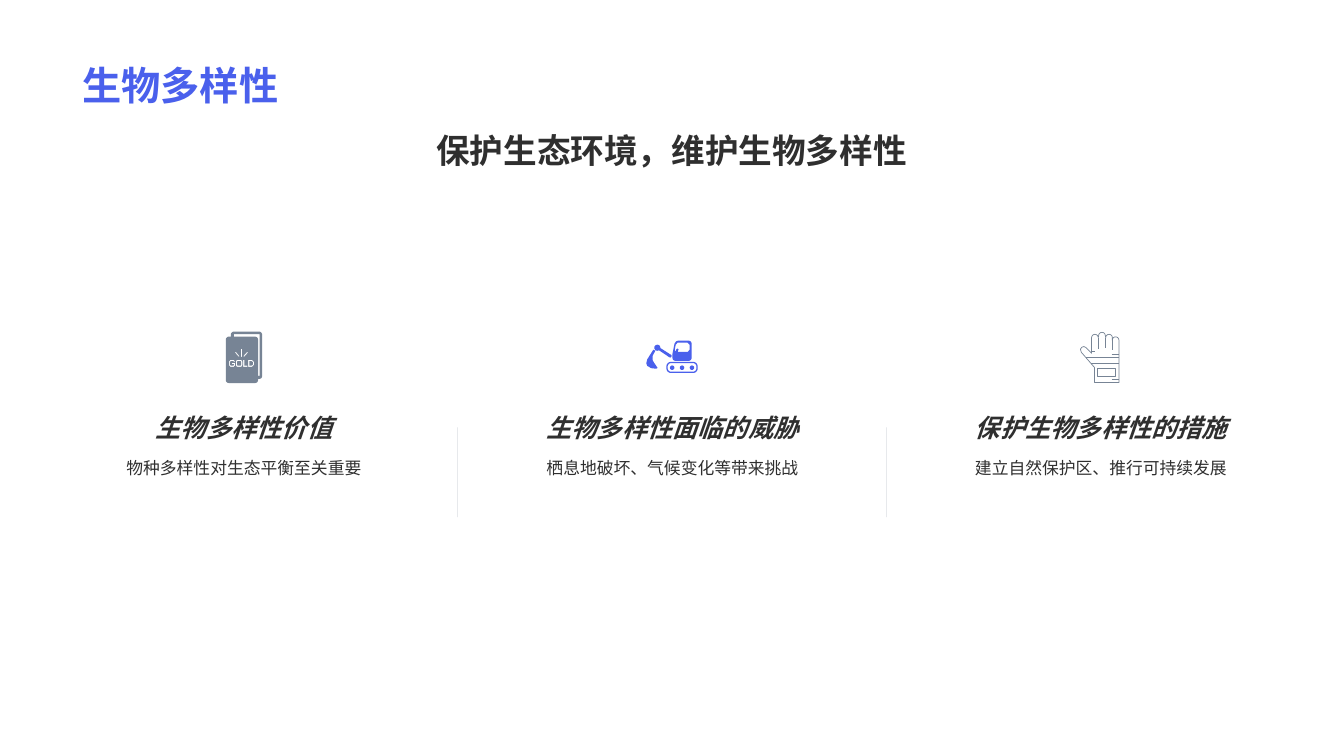
from math import cos, pi, sin

from lxml import etree
from pptx import Presentation
from pptx.dml.color import RGBColor
from pptx.enum.shapes import MSO_CONNECTOR
from pptx.enum.text import MSO_ANCHOR, PP_ALIGN
from pptx.oxml.ns import qn
from pptx.util import Inches, Pt

BLUE = RGBColor(0x4A, 0x60, 0xEC)
GREY = RGBColor(0x77, 0x84, 0x95)
INK = RGBColor(0x2F, 0x2F, 0x2F)
LEFT, CENTER = PP_ALIGN.LEFT, PP_ALIGN.CENTER
TOP, BOTTOM = MSO_ANCHOR.TOP, MSO_ANCHOR.BOTTOM
STRAIGHT = MSO_CONNECTOR.STRAIGHT

TITLE = {"size": Pt(28), "bold": True}
SUBTITLE = {"size": Pt(24), "bold": True}
HEADING = {"size": Pt(18), "bold": True, "italic": True}
DETAIL = {"size": Pt(12)}

COLUMN_LEFT, COLUMN_STEP, COLUMN_WIDTH = 0.86, 4.25, 3.12


# Outline helpers: icon points are in hundredths of an inch
def arc(cx, cy, r, start, end, steps=8):
    angles = [start + (end - start) * i / steps for i in range(steps + 1)]
    return [(cx + r * cos(a), cy + r * sin(a)) for a in angles]


def circle(cx, cy, r):
    return arc(cx, cy, r, 0, 2 * pi, 20)


def rounded(x, y, w, h, r):
    corners = [(x + w - r, y + h - r), (x + r, y + h - r),
               (x + r, y + r), (x + w - r, y + r)]
    return [point for i, (cx, cy) in enumerate(corners)
            for point in arc(cx, cy, r, i * pi / 2, (i + 1) * pi / 2)]


def gold_contours():
    covers = [(0, 8), *arc(3, 8, 3, pi, 1.5 * pi), (5, 5),
              *arc(8, 3, 3, pi, 1.5 * pi), *arc(33, 3, 3, -pi / 2, 0),
              *arc(33, 44, 3, 0, pi / 2), (32, 47),
              *arc(29, 48, 3, 0, pi / 2), *arc(3, 48, 3, pi / 2, pi)]
    gap = [(8, 2.5), (33.5, 2.5), (33.5, 44), (32, 44),
           *arc(29, 8, 3, 0, -pi / 2), (8, 5)]
    letter_g = [(9.3, 30), (8, 30), (7.5, 29.2), (5, 29.2), (4.4, 30),
                (4.4, 33), (5, 33.8), (7.5, 33.8), (8, 33), (8, 32.2),
                (6, 32.2), (6, 31), (9.3, 31), (9.3, 33.5), (8, 35),
                (4.5, 35), (3.2, 33.5), (3.2, 29.5), (4.5, 28), (8, 28)]
    letter_o = [rounded(10, 28, 6.4, 7, 2), rounded(11.2, 29.2, 4, 4.6, 1)]
    letter_l = [(17.2, 28), (18.4, 28), (18.4, 33.8), (21.3, 33.8),
                (21.3, 35), (17.2, 35)]
    letter_d = [[(22.2, 28), (26, 28), (28, 30), (28, 33), (26, 35), (22.2, 35)],
                [(23.4, 29.2), (25.5, 29.2), (26.8, 30.3), (26.8, 32.7),
                 (25.5, 33.8), (23.4, 33.8)]]
    rays = [[(9, 20.5), (10, 20), (13.5, 24.3), (12.7, 25)],
            [(14.9, 17), (16.1, 17), (16.1, 25), (14.9, 25)],
            [(21.2, 20), (22, 20.8), (18.3, 25), (17.3, 24.3)]]
    return [covers, gap, letter_g, *letter_o, letter_l, *letter_d, *rays]


def excavator_contours():
    wheels = [circle(x, 26.8, 2.2) for x in (25.7, 35.5, 45.3)]
    tracks = [rounded(20, 21, 31, 11, 4.5), rounded(21.2, 22.2, 28.6, 8.6, 3.5)]
    bucket = [(7, 9), (9, 10), (6.3, 15), (6.2, 19), (7.5, 21.5), (11.2, 27),
              (10, 27.8), (5, 27.3), (1, 25), (0, 22.5), (1, 18.5), (3.5, 14.5)]
    arm = [(14.3, 7.5), (25, 14.3), (25.2, 15.5), (24.3, 16.7), (23, 16.5), (13, 9.8)]
    cab = [(26, 13), (28, 3), (29.5, 0.7), (31.5, 0), *arc(42, 3, 3, -pi / 2, 0),
           *arc(42, 17, 3, 0, pi / 2), *arc(29, 17, 3, pi / 2, pi)]
    window = [(28.3, 9), (29.2, 4), (31, 2), (41, 2), (43, 4), (43, 9), (41.3, 11),
              (31.2, 11), (32, 8.5), (31, 7.8), (30, 8.3), (29, 11)]
    return [*wheels, *tracks, bucket, arm, circle(11, 7, 3), cab, window]


def glove_lines():
    tops = ((15, 6), (22, 4), (29, 6), (35.5, 8.5))
    fingers = [point for x, y in tops for point in arc(x, y, 3.3, pi, 2 * pi)]
    hand = [(14.5, 50.5), (14.5, 35.5), (1.5, 20.5), (0.6, 17.5), (2, 15.5),
            (4, 14.8), (6, 15.8), (11.7, 21.5), *fingers, (38.8, 50.5), (14.5, 50.5)]
    creases = [[(x, 6), (x, bottom)]
               for x, bottom in ((18.5, 17), (25.5, 16.5), (32.2, 18))]
    bands = [[(start, y), (38.8, y)]
             for start, y in ((6.5, 25.5), (11.5, 31.5), (31.5, 22.5), (31.5, 47.5))]
    thumb_tick = [(11.7, 19.5), (15, 19.5)]
    pocket = [(17.5, 36.5), (35.5, 36.5), (35.5, 44.5), (17.5, 44.5), (17.5, 36.5)]
    return [hand, *creases, *bands, thumb_tick, pocket]


# Slide elements
def add_text(slide, text, box, fmt, color=INK, align=CENTER, anchor=TOP, spacing=None):
    frame = slide.shapes.add_textbox(*map(Inches, box)).text_frame
    frame.word_wrap = True
    frame.vertical_anchor = anchor
    paragraph = frame.paragraphs[0]
    paragraph.alignment = align
    paragraph.line_spacing = spacing
    run = paragraph.add_run()
    run.text = text
    for key, value in {"name": "Arial", **fmt}.items():
        setattr(run.font, key, value)
    run.font.color.rgb = color


def add_icon(slide, left, top, contours, color, filled=True):
    placed = [[(Inches(left + x / 100), Inches(top + y / 100)) for x, y in contour]
              for contour in contours]
    builder = slide.shapes.build_freeform(*placed[0][0], scale=1.0)
    for i, contour in enumerate(placed):
        if i:
            builder.move_to(*contour[0])
        builder.add_line_segments(contour[1:], close=filled)
    icon = builder.convert_to_shape()
    icon.shadow.inherit = False
    if filled:
        icon.fill.solid()
        icon.fill.fore_color.rgb = color
        icon.line.fill.background()
    else:
        icon.fill.background()
        icon.line.color.rgb = color
        icon.line.width = Pt(0.5)


def add_divider(slide, x):
    divider = slide.shapes.add_connector(
        STRAIGHT, Inches(x), Inches(4.24), Inches(x), Inches(5.13))
    divider.line.color.rgb = GREY
    divider.line.width = Pt(0.25)
    properties = divider._element.spPr
    color = properties.find(".//" + qn("a:srgbClr"))
    etree.SubElement(color, qn("a:alpha")).set("val", "50000")
    etree.SubElement(properties, qn("a:effectLst"))


def main():
    prs = Presentation()
    prs.slide_width, prs.slide_height = Inches(13.33), Inches(7.5)
    slide = prs.slides.add_slide(prs.slide_layouts[6])

    # Title and subtitle
    add_text(slide, "生物多样性", (0.72, 0.14, 11.88, 0.98), TITLE, BLUE, LEFT, BOTTOM)
    add_text(slide, "保护生态环境，维护生物多样性", (0.72, 1.24, 11.88, 0.76), SUBTITLE)

    # Three topics with dividers between them
    topics = [
        ("生物多样性价值", "物种多样性对生态平衡至关重要",
         (2.24, 3.29, gold_contours(), GREY)),
        ("生物多样性面临的威胁", "栖息地破坏、气候变化等带来挑战",
         (6.41, 3.38, excavator_contours(), BLUE)),
        ("保护生物多样性的措施", "建立自然保护区、推行可持续发展",
         (10.71, 3.29, glove_lines(), GREY, False)),
    ]
    for i, (heading, detail, icon) in enumerate(topics):
        left = COLUMN_LEFT + i * COLUMN_STEP
        add_icon(slide, *icon)
        add_text(slide, detail, (left, 4.45, COLUMN_WIDTH, 0.75), DETAIL, spacing=1.2)
        add_text(slide, heading, (left, 3.85, COLUMN_WIDTH, 0.59), HEADING, anchor=BOTTOM)
        if i:
            add_divider(slide, left - 0.57)

    prs.save("out.pptx")


if __name__ == "__main__":
    main()
